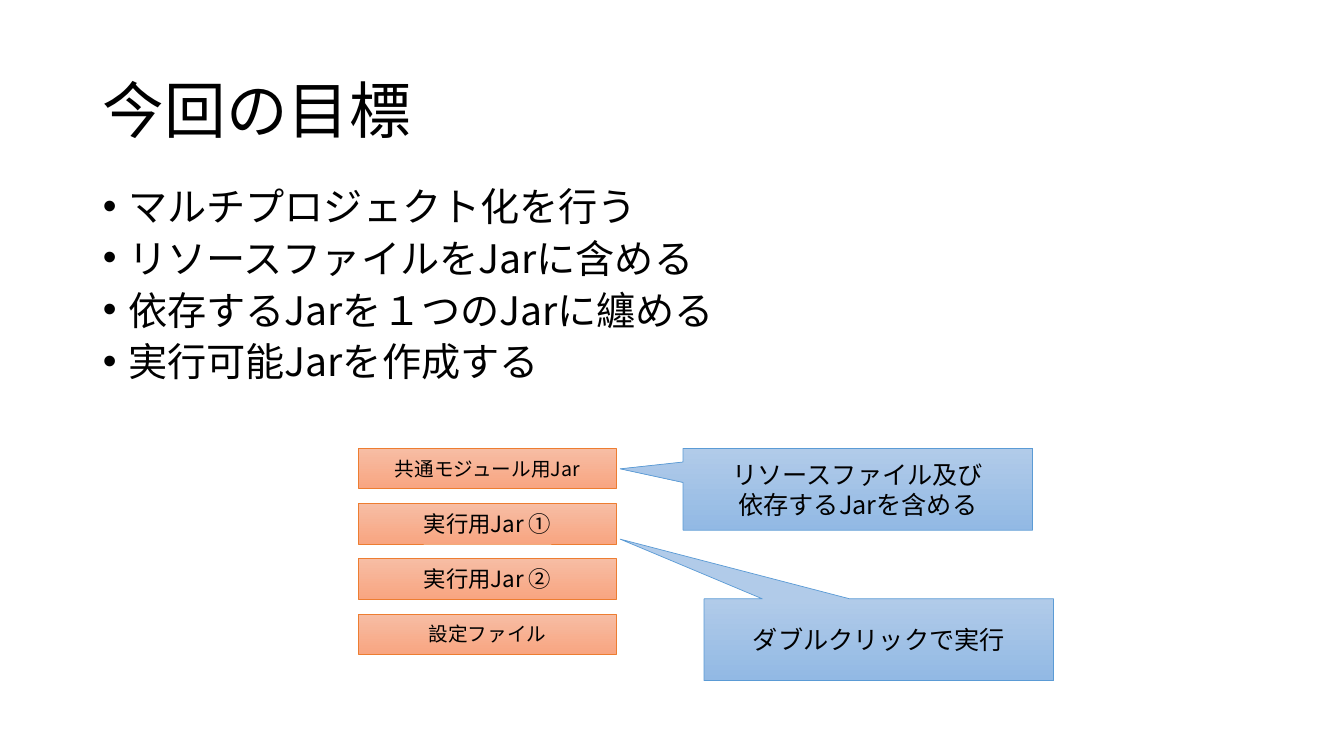
from lxml.etree import SubElement
from pptx import Presentation
from pptx.dml.color import RGBColor
from pptx.enum.shapes import MSO_SHAPE
from pptx.enum.text import MSO_ANCHOR, MSO_AUTO_SIZE, PP_ALIGN
from pptx.oxml.ns import qn
from pptx.util import Cm, Pt

FACE = "Noto Sans CJK JP"
COLORS = {
    "text": "000000",
    "jar": ("F7BDA4", "F8A581", "ED7D31"),
    "note": ("B1CBE9", "92B9E4", "5B9BD5"),
}


def write(frame, lines, size, align, anchor=MSO_ANCHOR.MIDDLE):
    frame.text = "\n".join(lines)
    frame.word_wrap = True
    frame.auto_size = MSO_AUTO_SIZE.NONE
    frame.vertical_anchor = anchor
    for para in frame.paragraphs:
        para.alignment = align
        font = para.font
        font.size = Pt(size)
        font.color.rgb = RGBColor.from_string(COLORS["text"])
        font.name = FACE
        # East Asian typeface
        props = para._p.pPr.find(qn("a:defRPr"))
        SubElement(props, qn("a:ea"), typeface=FACE)


def add_box(kind, left, top, width, height, lines, size, tone):
    box = slide.shapes.add_shape(kind, Cm(left), Cm(top), Cm(width), Cm(height))
    box.shadow.inherit = False
    start, end, edge = COLORS[tone]
    box.fill.gradient()
    box.fill.gradient_angle = 270
    for stop, color in zip(box.fill.gradient_stops, (start, end)):
        stop.color.rgb = RGBColor.from_string(color)
    box.line.color.rgb = RGBColor.from_string(edge)
    box.line.width = Pt(0.5)
    write(box.text_frame, lines, size, PP_ALIGN.CENTER)
    return box


deck = Presentation()
deck.slide_width, deck.slide_height = Cm(33.88), Cm(19.05)
slide = deck.slides.add_slide(deck.slide_layouts[1])

# Title
title = slide.shapes.title
title.left, title.top, title.width, title.height = Cm(2.34), Cm(1.02), Cm(29.21), Cm(3.68)
write(title.text_frame, ["今回の目標"], 44, PP_ALIGN.LEFT)
title.text_frame.paragraphs[0].line_spacing = 0.9

# Goals
body = slide.placeholders[1]
body.left, body.top, body.width, body.height = Cm(2.34), Cm(4.7), Cm(29.21), Cm(5.41)
goals = [
    "マルチプロジェクト化を行う",
    "リソースファイルをJarに含める",
    "依存するJarを１つのJarに纏める",
    "実行可能Jarを作成する",
]
write(body.text_frame, goals, 28, PP_ALIGN.LEFT, MSO_ANCHOR.TOP)
for row, para in enumerate(body.text_frame.paragraphs):
    para.line_spacing = 0.8
    para.space_before = Pt(10 if row else 0)
    props = para._p.pPr
    props.set("marL", str(Cm(0.64)))
    props.set("indent", str(-Cm(0.64)))

# Files to build
files = [
    ("共通モジュール用Jar", 14),
    ("実行用Jar ①", 16),
    ("実行用Jar ②", 16),
    ("設定ファイル", 14),
]
for row, (name, size) in enumerate(files):
    add_box(MSO_SHAPE.RECTANGLE, 9.04, 11.3 + 1.39 * row, 6.5, 1.02, [name], size, "jar")

# Callouts
notes = [
    (17.22, 11.3, ["リソースファイル及び", "依存するJarを含める"], (-0.68, -0.25)),
    (17.75, 15.09, ["ダブルクリックで実行"], (-0.74, -1.23)),
]
for left, top, lines, tip in notes:
    note = add_box(MSO_SHAPE.RECTANGULAR_CALLOUT, left, top, 8.81, 2.06, lines, 18, "note")
    note.adjustments[0], note.adjustments[1] = tip

deck.save("out.pptx")
